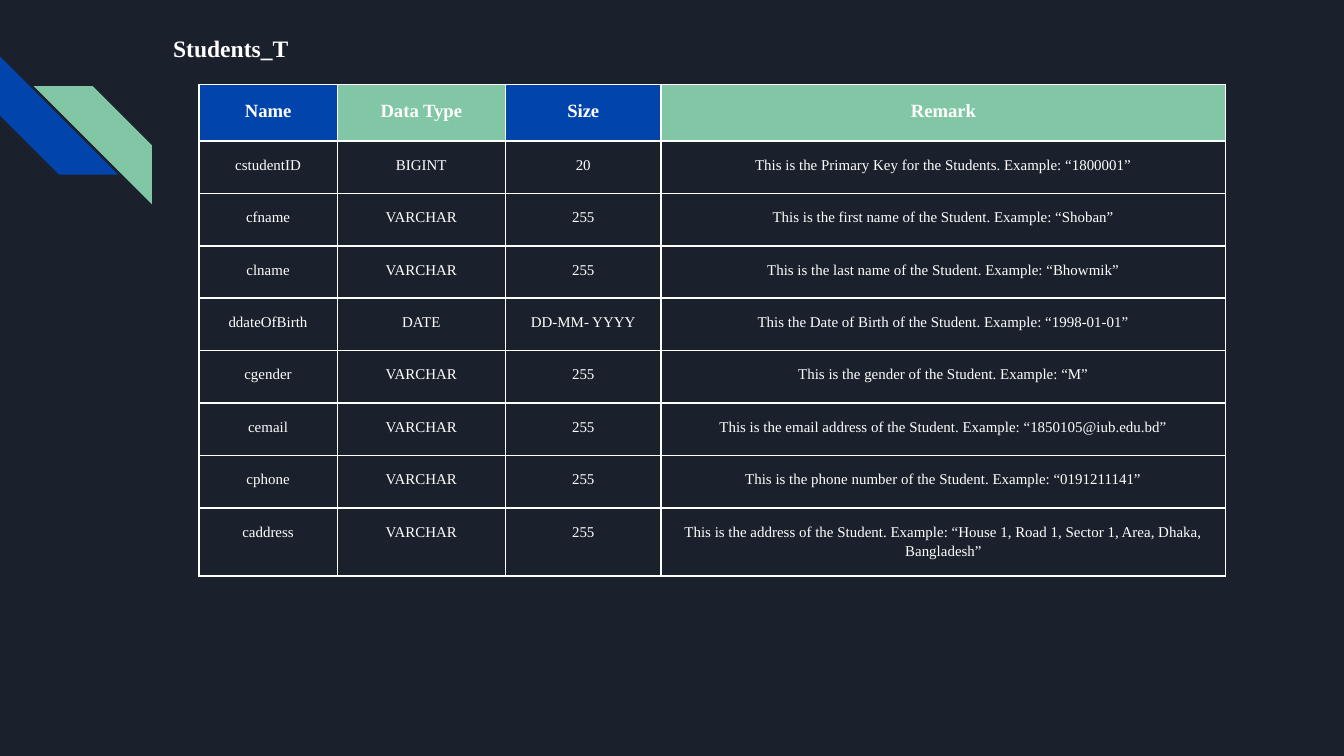
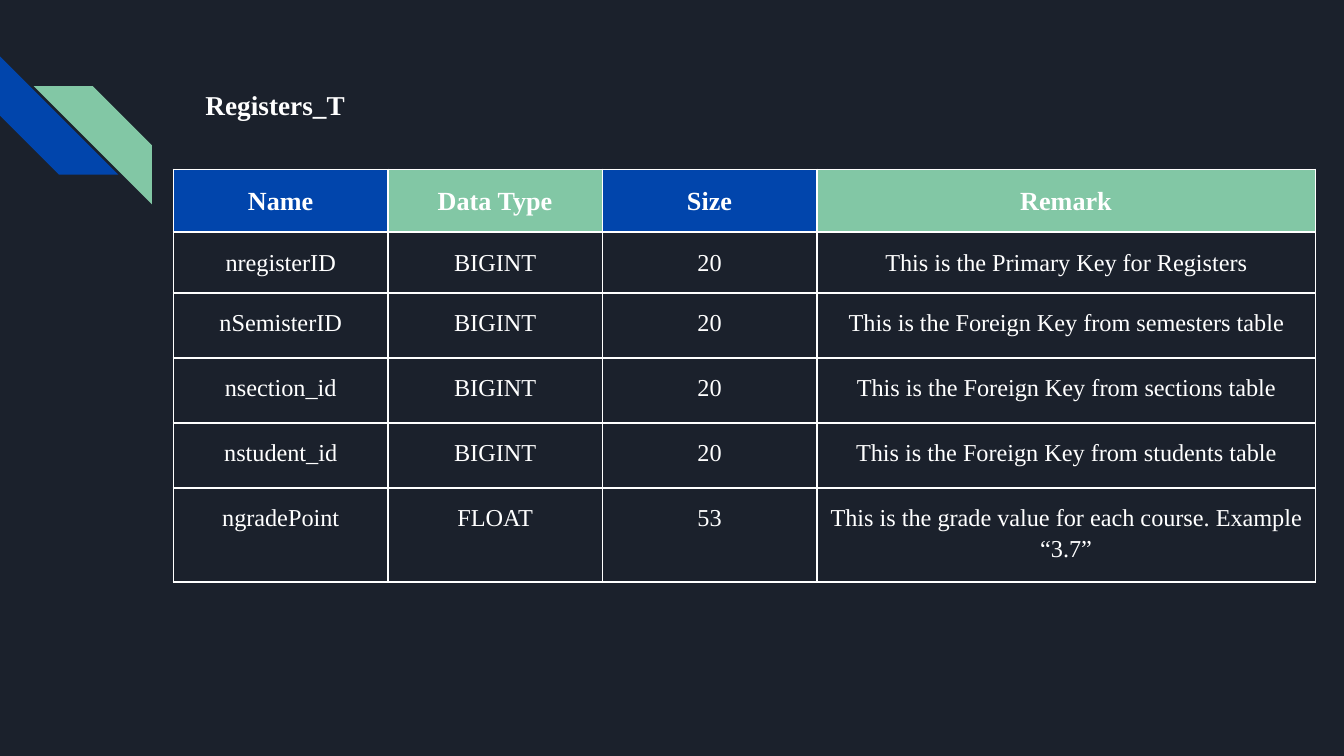
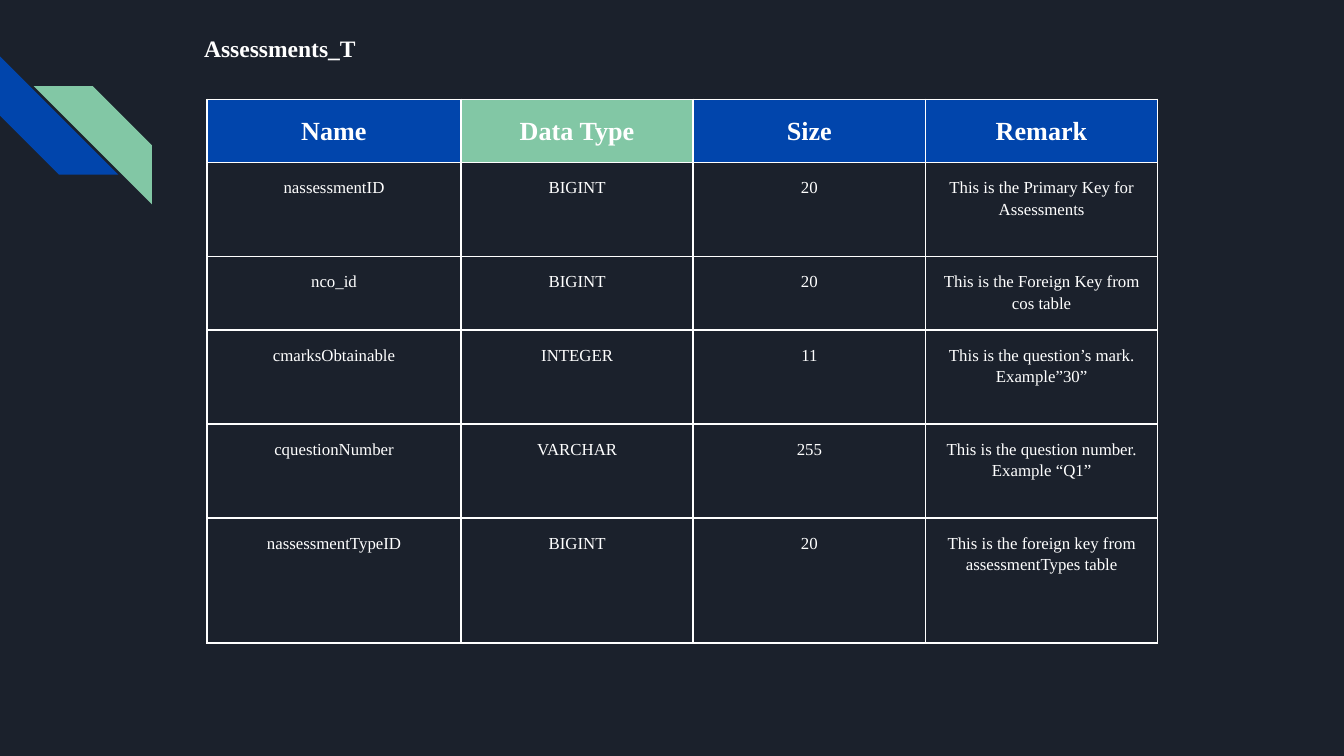
import pptx
import pptx.util
import pptx.dml.color
import pptx.enum.shapes
import pptx.enum.text
import pptx.oxml
import pptx.oxml.ns
import lxml.etree
import dataclasses


@dataclasses.dataclass(frozen=True)
class Theme:
    back: str = "1B212C"
    blue: str = "0145AC"
    green: str = "82C7A5"
    white: str = "FFFFFF"
    font: str = "Times New Roman"
    lead: float = 1.15
    rule: float = 1


THEME = Theme()
WIDE = pptx.util.Inches(10)
HIGH = pptx.util.Inches(5.625)
UNIT = WIDE / 100
HEAD = ("Name", "Data Type", "Size", "Remark")
BLUE, GREEN = THEME.blue, THEME.green

STRIPES = [
    dict(box=(0, 4.2, 8.8, 8.8), fill=BLUE, turn=270, flip=False),
    dict(box=(2.5, 6.4, 8.8, 8.8), fill=GREEN, turn=0, flip=True),
]

PAGES = [
    dict(
        title="Students_T", box=(11.9, 1.2, 13.6, 5.1), size=12.6,
        spot=(14.8, 6.3), cols=(10.3, 12.5, 11.6, 42),
        rows=(4.2, *[3.9] * 7, 5.1),
        fills=(BLUE, GREEN, BLUE, GREEN), sizes=(10, 8),
        data=[
            ("cstudentID", "BIGINT", "20", "This is the Primary Key for the Students. Example: “1800001”"),
            ("cfname", "VARCHAR", "255", "This is the first name of the Student. Example: “Shoban”"),
            ("clname", "VARCHAR", "255", "This is the last name of the Student. Example: “Bhowmik”"),
            ("ddateOfBirth", "DATE", "DD-MM- YYYY", "This the Date of Birth of the Student. Example: “1998-01-01”"),
            ("cgender", "VARCHAR", "255", "This is the gender of the Student. Example: “M”"),
            ("cemail", "VARCHAR", "255", "This is the email address of the Student. Example: “1850105@iub.edu.bd”"),
            ("cphone", "VARCHAR", "255", "This is the phone number of the Student. Example: “0191211141”"),
            ("caddress", "VARCHAR", "255",
             "This is the address of the Student. Example: “House 1, Road 1, Sector 1, Area, Dhaka, Bangladesh”"),
        ],
    ),
    dict(
        title="Registers_T", box=(14.3, 5.2, 22.5, 4.6), size=14.6,
        spot=(12.9, 12.6), cols=(*[15.96] * 3, 37.1),
        rows=(4.4, 4.3, *[4.84] * 3, 6.5),
        fills=(BLUE, GREEN, BLUE, GREEN), sizes=(14, 13),
        data=[
            ("nregisterID", "BIGINT", "20", "This is the Primary Key for Registers"),
            ("nSemisterID", "BIGINT", "20", "This is the Foreign Key from semesters table"),
            ("nsection_id", "BIGINT", "20", "This is the Foreign Key from sections table"),
            ("nstudent_id", "BIGINT", "20", "This is the Foreign Key from students table"),
            ("ngradePoint", "FLOAT", "53", "This is the grade value for each course. Example “3.7”"),
        ],
    ),
    dict(
        title="Assessments_T", box=(14.2, 1.2, 42.3, 5.6), size=12.6,
        spot=(15.4, 7.4), cols=(18.9, *[17.28] * 3),
        rows=(4.5, 7, 5.2, 7, 7, 9.3),
        fills=(BLUE, GREEN, BLUE, BLUE), sizes=(14, 9),
        data=[
            ("nassessmentID", "BIGINT", "20", "This is the Primary Key for Assessments"),
            ("nco_id", "BIGINT", "20", "This is the Foreign Key from cos table"),
            ("cmarksObtainable", "INTEGER", "11", "This is the question’s mark. Example”30”"),
            ("cquestionNumber", "VARCHAR", "255", "This is the question number. Example “Q1”"),
            ("nassessmentTypeID", "BIGINT", "20", "This is the foreign key from assessmentTypes table"),
        ],
    ),
]


def span(*units):
    return [round(unit * UNIT) for unit in units]


def paint(fill, tint):
    fill.solid()
    fill.fore_color.rgb = pptx.dml.color.RGBColor.from_string(tint)


def write(frame, text, size, bold, align):
    frame.word_wrap = True
    frame.text = text
    para = frame.paragraphs[0]
    para.alignment = align
    para.line_spacing = THEME.lead
    font = para.runs[0].font
    font.name, font.size, font.bold = THEME.font, pptx.util.Pt(size), bold
    paint(font.fill, THEME.white)


def pad(part, side):
    part.margin_left = part.margin_right = pptx.util.Inches(side)
    part.margin_top = part.margin_bottom = pptx.util.Inches(0.1)


def edge(cell):
    props = cell._tc.get_or_add_tcPr()
    for side in "LRTB":
        line = lxml.etree.SubElement(props, pptx.oxml.ns.qn("a:ln" + side))
        line.set("w", str(pptx.util.Pt(THEME.rule)))
        fill = lxml.etree.SubElement(line, pptx.oxml.ns.qn("a:solidFill"))
        lxml.etree.SubElement(fill, pptx.oxml.ns.qn("a:srgbClr")).set("val", THEME.white)


def draw_stripes(slide):
    for stripe in STRIPES:
        shape = slide.shapes.add_shape(
            pptx.enum.shapes.MSO_SHAPE.DIAGONAL_STRIPE, *span(*stripe["box"]))
        shape.adjustments[0] = 0.5
        shape.rotation = stripe["turn"]
        if stripe["flip"]:
            shape.element.spPr.find(pptx.oxml.ns.qn("a:xfrm")).set("flipH", "1")
        shape.shadow.inherit = False
        paint(shape.fill, stripe["fill"])
        shape.line.fill.background()


def draw_title(slide, page):
    frame = slide.shapes.add_textbox(*span(*page["box"])).text_frame
    pad(frame, 0.1)
    write(frame, page["title"], page["size"], True, pptx.enum.text.PP_ALIGN.LEFT)


def draw_table(slide, page):
    lines = [HEAD, *page["data"]]
    cols, rows = page["cols"], page["rows"]
    table = slide.shapes.add_table(
        len(rows), len(cols), *span(*page["spot"], sum(cols), sum(rows))).table
    table.first_row = table.horz_banding = False
    for col, wide in zip(table.columns, span(*cols)):
        col.width = wide
    for row, high in zip(table.rows, span(*rows)):
        row.height = high
    for r, line in enumerate(lines):
        for c, text in enumerate(line):
            cell = table.cell(r, c)
            pad(cell, 0.07)
            edge(cell)
            if r == 0:
                paint(cell.fill, page["fills"][c])
            else:
                cell.fill.background()
            write(cell.text_frame, text, page["sizes"][min(r, 1)], r == 0,
                  pptx.enum.text.PP_ALIGN.CENTER)


def main():
    deck = pptx.Presentation()
    deck.slide_width, deck.slide_height = WIDE, HIGH
    paint(deck.slide_master.background.fill, THEME.back)
    for page in PAGES:
        slide = deck.slides.add_slide(deck.slide_layouts[6])
        draw_stripes(slide)
        draw_title(slide, page)
        draw_table(slide, page)
    deck.save("out.pptx")


if __name__ == "__main__":
    main()
